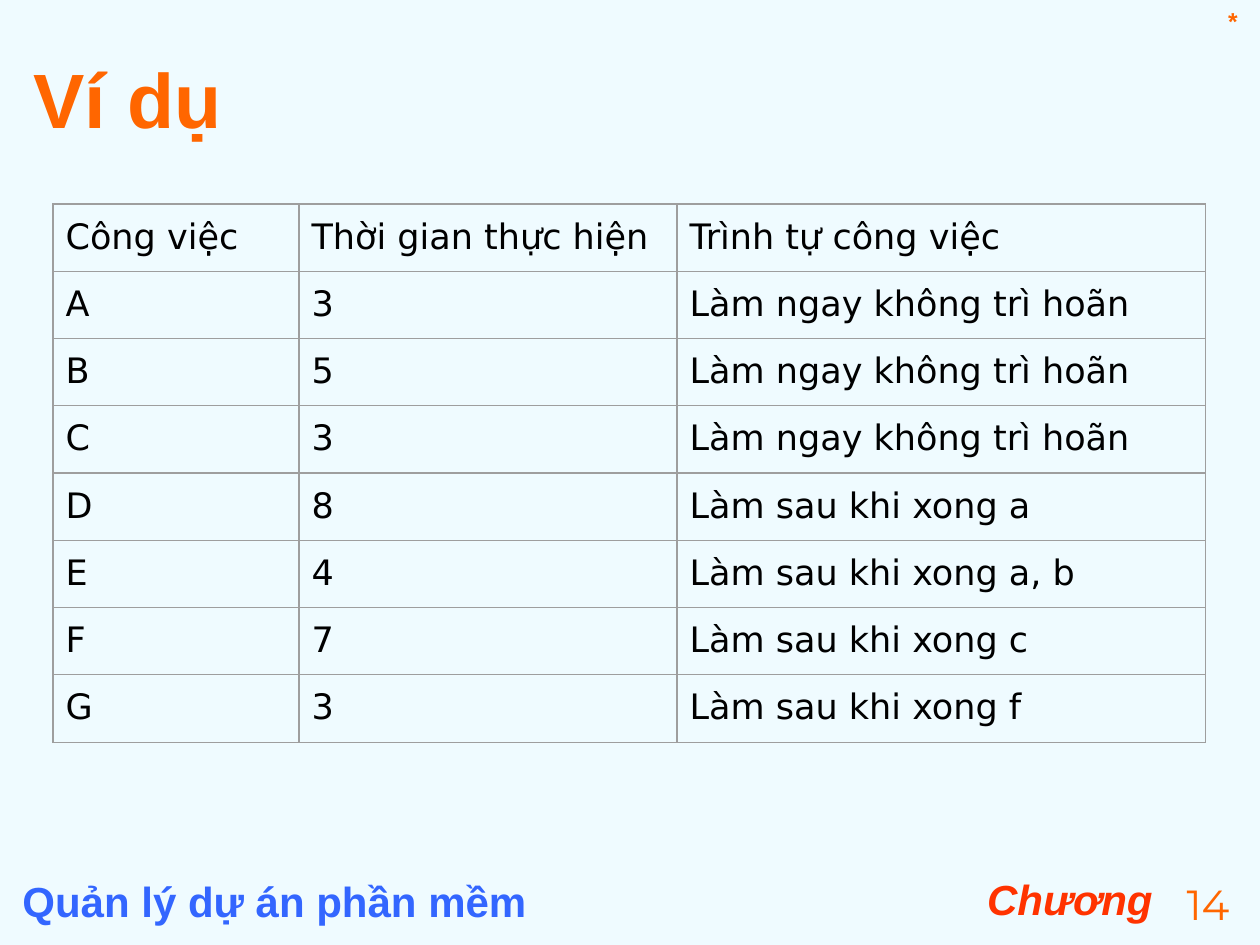
from lxml.etree import SubElement
from pptx import Presentation
from pptx.dml.color import RGBColor as Rgb
from pptx.enum.text import MSO_ANCHOR as Anchor, PP_ALIGN as Align
from pptx.oxml.ns import qn
from pptx.util import Emu, Pt

SCALE = 914400 / 126  # EMU per px
COLORS = {
    "background": "EFFBFF",
    "accent": "FF6600",
    "chapter": "FF3300",
    "course": "3366FF",
    "text": "000000",
    "border": "9E9E9E",
}
TASKS = [
    ("Công việc", "Thời gian thực hiện", "Trình tự công việc"),
    ("A", "3", "Làm ngay không trì hoãn"),
    ("B", "5", "Làm ngay không trì hoãn"),
    ("C", "3", "Làm ngay không trì hoãn"),
    ("D", "8", "Làm sau khi xong a"),
    ("E", "4", "Làm sau khi xong a, b"),
    ("F", "7", "Làm sau khi xong c"),
    ("G", "3", "Làm sau khi xong f"),
]


def px(length):
    return Emu(round(length * SCALE))


class SlideBuilder:
    def __init__(self, slide):
        self.slide = slide
        fill = slide.background.fill
        fill.solid()
        fill.fore_color.rgb = Rgb.from_string(COLORS["background"])

    def span(self, para, text, size, color, font="Arial", bold=False, italic=False):
        span = para.add_run()
        span.text = text
        style = span.font
        style.name, style.size = font, Pt(size)
        style.bold, style.italic = bold, italic
        style.color.rgb = Rgb.from_string(COLORS[color])

    def text(self, area, text, size, color, align=Align.LEFT, anchor=Anchor.TOP, **style):
        box = self.slide.shapes.add_textbox(*map(px, area))
        frame = box.text_frame
        frame.word_wrap = True
        frame.vertical_anchor = anchor
        para = frame.paragraphs[0]
        para.alignment = align
        self.span(para, text, size, color, **style)

    def border(self, cell):
        properties = cell._tc.get_or_add_tcPr()
        for index, side in enumerate(("a:lnL", "a:lnR", "a:lnT", "a:lnB")):
            line = properties.makeelement(qn(side), {"w": str(Pt(0.75))})
            properties.insert(index, line)
            fill = SubElement(line, qn("a:solidFill"))
            SubElement(fill, qn("a:srgbClr"), val=COLORS["border"])

    def table(self, left, top, widths, row_height, rows):
        area = (left, top, sum(widths), row_height * len(rows))
        table = self.slide.shapes.add_table(len(rows), len(widths), *map(px, area)).table
        table.first_row = table.horz_banding = False
        for column, width in zip(table.columns, widths):
            column.width = px(width)
        for row, values in zip(table.rows, rows):
            row.height = px(row_height)
            for cell, value in zip(row.cells, values):
                cell.fill.background()
                cell.margin_left = cell.margin_right = Pt(7.2)
                cell.margin_top = cell.margin_bottom = Pt(7.2)
                self.span(cell.text_frame.paragraphs[0], value, 20, "text", "DejaVu Sans")
                self.border(cell)


def main():
    deck = Presentation()
    deck.slide_width, deck.slide_height = px(1260), px(945)
    page = SlideBuilder(deck.slides.add_slide(deck.slide_layouts[6]))

    # Footer
    page.text((472, 867, 693, 66), "Chương", 24, "chapter", Align.RIGHT, bold=True, italic=True)
    page.text((10, 869, 598, 55), "Quản lý dự án phần mềm", 24, "course", bold=True)
    page.text((1166, 872, 84, 55), "14", 24, "accent", Align.CENTER, font="Montserrat")

    # Header mark and title
    page.text((788, 0, 462, 32), "*", 14, "accent", Align.RIGHT, bold=True)
    page.text((21, 38, 1227, 120), "Ví dụ", 44, "accent", anchor=Anchor.MIDDLE, bold=True)

    # Task table
    page.table(53, 204, (246, 378, 529), 66, TASKS)

    deck.save("out.pptx")


if __name__ == "__main__":
    main()
